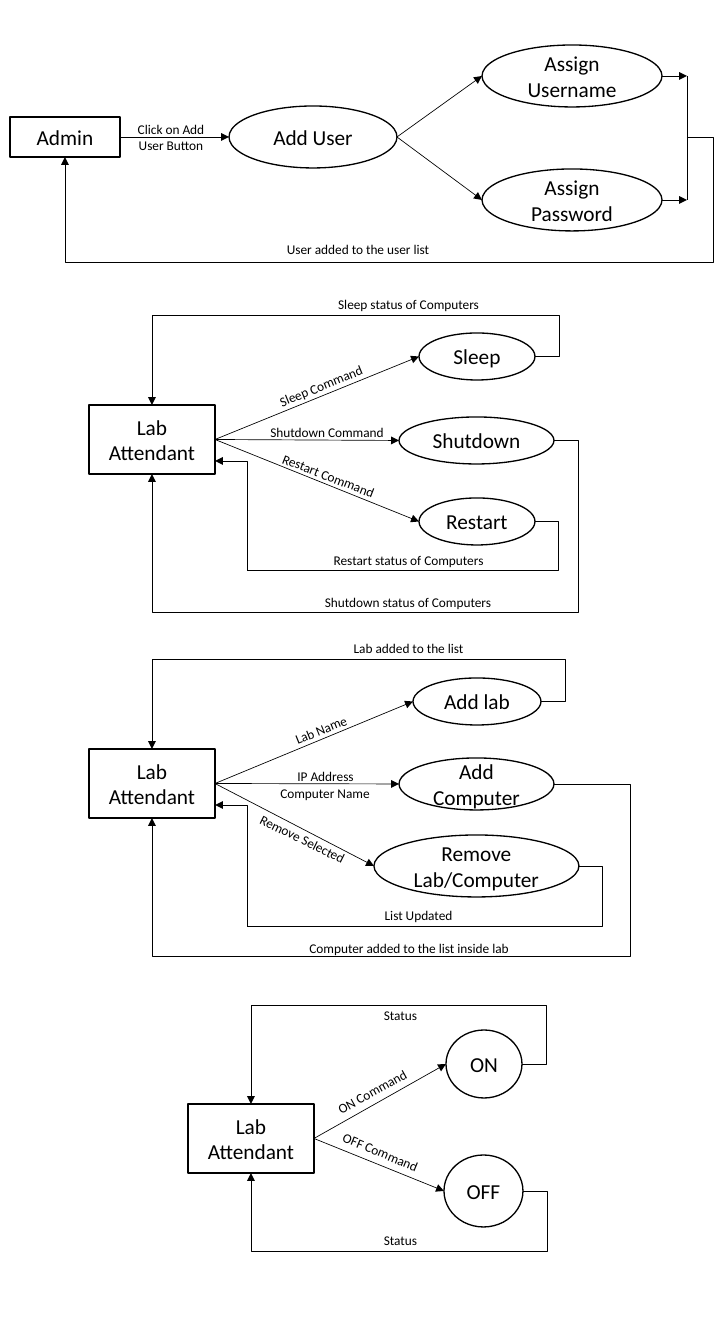
from dataclasses import dataclass
from lxml.etree import SubElement
from pptx import Presentation
from pptx.dml.color import RGBColor
from pptx.enum.shapes import MSO_CONNECTOR as CONN, MSO_SHAPE as SHAPE
from pptx.enum.text import MSO_ANCHOR as ANCHOR, MSO_AUTO_SIZE as AUTO, PP_ALIGN as ALIGN
from pptx.oxml.ns import qn
from pptx.util import Pt

PX = 9525
TOP, LEFT, BOTTOM, RIGHT = range(4)
OVAL_LEFT, OVAL_RIGHT = 2, 6
STUB = 24


@dataclass(frozen=True)
class Theme:
    ink: RGBColor = RGBColor(0, 0, 0)
    paper: RGBColor = RGBColor(255, 255, 255)
    font: str = "Calibri"
    node_size: float = 16
    label_size: float = 10
    node_line: float = 1
    flow_line: float = 0.5


THEME = Theme()


class Region:
    def __init__(self, slide, left, top):
        self.shapes = slide.shapes
        self.left, self.top = left, top

    def point(self, x, y):
        return (self.left + x) * PX, (self.top + y) * PX

    def node(self, kind, text, x, y, w, h):
        sp = self.shapes.add_shape(kind, *self.point(x, y), w * PX, h * PX)
        sp.shadow.inherit = False
        sp.fill.solid()
        sp.fill.fore_color.rgb = THEME.paper
        sp.line.color.rgb = THEME.ink
        sp.line.width = Pt(THEME.node_line)
        set_text(sp, text, THEME.node_size).vertical_anchor = ANCHOR.MIDDLE
        return sp

    def label(self, text, x, y, w, h=26, rotation=0):
        sp = self.shapes.add_textbox(*self.point(x, y), w * PX, h * PX)
        sp.rotation = rotation
        set_text(sp, text, THEME.label_size).auto_size = AUTO.SHAPE_TO_FIT_TEXT

    def line(self, start, end, kind=CONN.STRAIGHT):
        c = self.shapes.add_connector(kind, *start, *end)
        c.line.color.rgb = THEME.ink
        c.line.width = Pt(THEME.flow_line)
        SubElement(c._element.spPr, qn("a:effectLst"))
        return c

    def arrow(self, start, end):
        c = self.line(start, end)
        add_head(c, "tailEnd")
        return c

    def link(self, source, target):
        c = self.arrow(side(source, RIGHT), side(target, LEFT))
        if source.auto_shape_type == SHAPE.RECTANGLE:
            c.begin_connect(source, RIGHT)
        else:
            glue(c, "stCxn", source, OVAL_RIGHT)
        glue(c, "endCxn", target, OVAL_LEFT)

    def loop(self, start, box, box_side, via, oval=None):
        c = self.line(start, side(box, box_side), CONN.ELBOW)
        if oval is not None:
            glue(c, "stCxn", oval, OVAL_RIGHT)
        c.end_connect(box, box_side)
        bend(c, "bentConnector4", via)
        add_head(c, "tailEnd")

    def return_loop(self, oval, box, box_side, y, stub=STUB):
        x, mid = side(oval, RIGHT)
        self.loop((x, mid), box, box_side, (x + stub * PX, self.point(0, y)[1]), oval)

    def inner_loop(self, oval, corner, entry):
        start = side(oval, RIGHT)
        c = self.line(start, corner, CONN.ELBOW)
        glue(c, "stCxn", oval, OVAL_RIGHT)
        bend(c, "bentConnector3", (start[0] + STUB * PX,))
        c = self.line(entry, corner, CONN.ELBOW)
        bend(c, "bentConnector2", ())
        add_head(c, "headEnd")


def set_text(sp, text, size):
    tf = sp.text_frame
    tf.word_wrap = True
    tf.text = text
    p = tf.paragraphs[0]
    p.alignment = ALIGN.CENTER
    font = p.runs[0].font
    font.name, font.size = THEME.font, Pt(size)
    font.color.rgb = THEME.ink
    return tf


def side(sp, index):
    mid_x, mid_y = sp.left + sp.width // 2, sp.top + sp.height // 2
    return ((mid_x, sp.top), (sp.left, mid_y),
            (mid_x, sp.top + sp.height), (sp.left + sp.width, mid_y))[index]


def glue(c, tag, sp, index):
    props = c._element.find(".//" + qn("p:cNvCxnSpPr"))
    SubElement(props, qn("a:" + tag), id=str(sp.shape_id), idx=str(index))


def add_head(c, tag):
    SubElement(c._element.spPr.find(qn("a:ln")), qn("a:" + tag), type="triangle")


def bend(c, preset, via):
    geom = c._element.spPr.find(qn("a:prstGeom"))
    geom.set("prst", preset)
    guides = geom.find(qn("a:avLst"))
    spans = ((c.begin_x, c.end_x), (c.begin_y, c.end_y))
    for n, (value, (a, b)) in enumerate(zip(via, spans), 1):
        ratio = round((value - a) / (b - a) * 100000)
        SubElement(guides, qn("a:gd"), name=f"adj{n}", fmla=f"val {ratio}")


def add_user_flow(slide, left, top):
    r = Region(slide, left, top)
    admin = r.node(SHAPE.RECTANGLE, "Admin", 0, 72, 110, 40)
    user = r.node(SHAPE.OVAL, "Add User", 219, 61, 168, 62)
    r.link(admin, user)
    bus_x, mid = 677, 92
    ends = []
    for text, y in (("Assign Username", 0), ("Assign Password", 124)):
        oval = r.node(SHAPE.OVAL, text, 472, y, 180, 62)
        r.link(user, oval)
        end = r.point(bus_x, y + 31)
        glue(r.arrow(side(oval, RIGHT), end), "stCxn", oval, OVAL_RIGHT)
        ends.append(end)
    r.line(*ends)
    r.loop(r.point(bus_x, mid), admin, BOTTOM, r.point(704, 217))
    r.label("Click on Add User Button", 117, 71, 88, 42)
    r.label("User added to the user list", 238, 191, 220)


def attendant_flow(slide, left, top, ovals, labels, inner_y, middle_stub):
    r = Region(slide, left, top)
    box = r.node(SHAPE.RECTANGLE, "Lab Attendant", 0, 114, 126, 69)
    upper, middle, lower = [r.node(SHAPE.OVAL, *oval) for oval in ovals]
    for oval in (upper, middle, lower):
        r.link(box, oval)
    r.return_loop(upper, box, TOP, 24)
    r.return_loop(middle, box, BOTTOM, 321, middle_stub)
    r.inner_loop(lower, r.point(158, inner_y), r.point(126, 170))
    for label in labels:
        r.label(*label)


def power_flow(slide, left, top):
    r = Region(slide, left, top)
    box = r.node(SHAPE.RECTANGLE, "Lab Attendant", 0, 102, 126, 69)
    on = r.node(SHAPE.FLOWCHART_CONNECTOR, "ON", 258, 28, 76, 68)
    off = r.node(SHAPE.FLOWCHART_CONNECTOR, "OFF", 256, 153, 79, 72)
    for oval, box_side, y, label_y in ((on, TOP, 3, 0), (off, BOTTOM, 249, 225)):
        r.link(box, oval)
        r.return_loop(oval, box, box_side, y)
        r.label("Status", 184, label_y, 57, 19)
    r.label("ON Command", 135, 77, 97, 23, -28.9)
    r.label("OFF Command", 131, 137, 123, 26, 22.3)


def main():
    prs = Presentation()
    prs.slide_width, prs.slide_height = 720 * PX, 1344 * PX
    slide = prs.slides.add_slide(prs.slide_layouts[6])
    add_user_flow(slide, 10, 45)
    attendant_flow(
        slide, 89, 291,
        [("Sleep", 330, 42, 116, 47), ("Shutdown", 310, 126, 155, 47),
         ("Restart", 330, 207, 116, 47)],
        [("Sleep Command", 177, 82, 110, 26, -22), ("Shutdown Command", 170, 128, 136),
         ("Restart Command", 179, 172, 121, 26, 21.3),
         ("Restart status of Computers", 229, 256, 181),
         ("Shutdown status of Computers", 219, 298, 200),
         ("Sleep status of Computers", 229, 0, 181)],
        279, STUB)
    attendant_flow(
        slide, 89, 635,
        [("Add lab", 324, 43, 128, 47), ("Add Computer", 310, 123, 155, 52),
         ("Remove Lab/Computer", 285, 200, 205, 62)],
        [("Lab Name", 177, 82, 110, 26, -22), ("IP Address", 198, 128, 77),
         ("Computer Name", 168, 145, 136), ("Remove Selected", 153, 191, 121, 26, 26.3),
         ("List Updated", 239, 267, 181),
         ("Computer added to the list inside lab", 210, 300, 220),
         ("Lab added to the list", 229, 0, 181)],
        291, 76)
    power_flow(slide, 188, 1002)
    prs.save("out.pptx")


if __name__ == "__main__":
    main()
